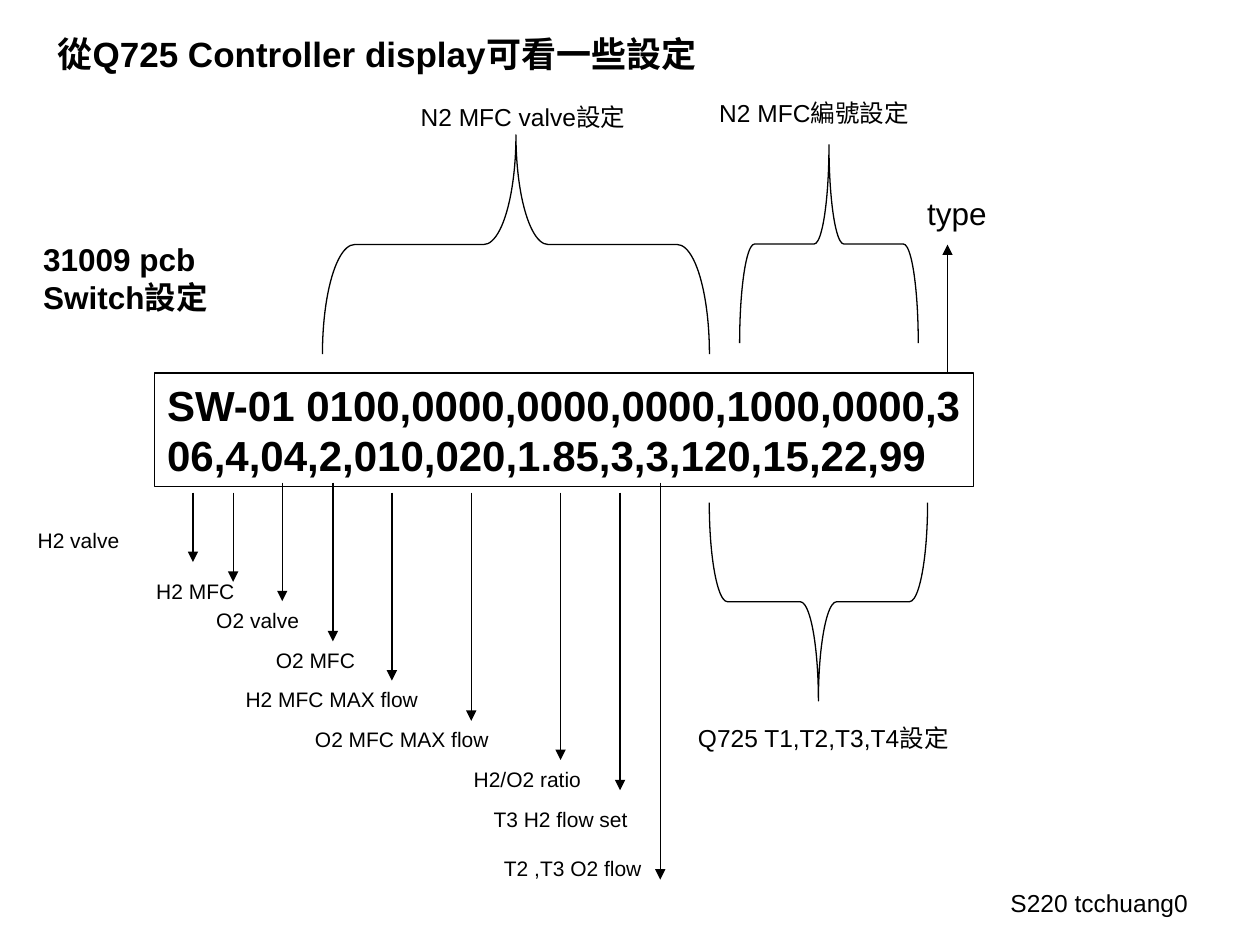
from dataclasses import dataclass

from lxml import etree
from pptx import Presentation
from pptx.dml.color import RGBColor
from pptx.enum.shapes import MSO_CONNECTOR, MSO_SHAPE
from pptx.enum.text import MSO_ANCHOR, MSO_AUTO_SIZE, PP_ALIGN
from pptx.oxml.ns import qn
from pptx.util import Cm, Pt

STRAIGHT = MSO_CONNECTOR.STRAIGHT
RECTANGLE = MSO_SHAPE.RECTANGLE
LEFT_BRACE = MSO_SHAPE.LEFT_BRACE
LEFT = PP_ALIGN.LEFT
TOP = MSO_ANCHOR.TOP
FIT_SHAPE = MSO_AUTO_SIZE.SHAPE_TO_FIT_TEXT


@dataclass(frozen=True)
class Theme:
    ink: RGBColor = RGBColor(0, 0, 0)
    font: str = "Arial"
    line_width: float = 0.75
    code_size: int = 24
    title_size: int = 20
    heading_size: int = 18
    caption_size: int = 14
    label_size: int = 12


THEME = Theme()

POINT_UP, POINT_DOWN = 90, 270
BELOW_BOX, INSIDE_BOX = 9.93, 9.73

BRACES = [
    (6.5, 2.72, 7.8, 4.42, POINT_UP),
    (14.91, 2.92, 3.6, 4, POINT_UP),
    (14.3, 10.13, 4.4, 4, POINT_DOWN),
]

CAPTIONS = [
    ("N2 MFC valve設定", 8.23, 1.93, 4.75),
    ("N2 MFC編號設定", 14.25, 1.85, 4.45),
    ("Q725 T1,T2,T3,T4設定", 13.82, 14.45, 5.72),
    ("S220 tcchuang0", 20.12, 17.78, 4.09),
]

FIELDS = [
    ("H2 valve", 0.51, 10.52, 2.16, 3.89, BELOW_BOX, 11.33),
    ("H2 MFC", 2.9, 11.53, 2.08, 4.7, BELOW_BOX, 11.73),
    ("O2 valve", 4.11, 12.12, 2.18, 5.69, INSIDE_BOX, 12.12),
    ("O2 MFC", 5.31, 12.93, 2.11, 6.71, INSIDE_BOX, 12.93),
    ("H2 MFC MAX flow", 4.7, 13.72, 3.99, 7.9, BELOW_BOX, 13.72),
    ("O2 MFC MAX flow", 6.1, 14.53, 4.01, 9.5, BELOW_BOX, 14.53),
    ("H2/O2 ratio", 9.3, 15.32, 2.67, 11.3, BELOW_BOX, 15.32),
    ("T3 H2 flow set", 9.7, 16.13, 3.25, 12.5, BELOW_BOX, 15.93),
    ("T2 ,T3 O2 flow", 9.91, 17.12, 3.3, 13.31, INSIDE_BOX, 17.73),
]


def style_line(shape):
    shape.line.color.rgb = THEME.ink
    shape.line.width = Pt(THEME.line_width)


def write_text(shape, lines, size, bold=False):
    frame = shape.text_frame
    frame.word_wrap = False
    frame.auto_size = FIT_SHAPE
    frame.vertical_anchor = TOP
    frame.text = "\n".join(lines)
    for paragraph in frame.paragraphs:
        paragraph.alignment = LEFT
        paragraph.font.name = THEME.font
        paragraph.font.size = Pt(size)
        paragraph.font.bold = bold
        paragraph.font.color.rgb = THEME.ink


def add_text(slide, lines, left, top, width, height, size, bold=False):
    box = slide.shapes.add_textbox(Cm(left), Cm(top), Cm(width), Cm(height))
    write_text(box, lines, size, bold)


def add_display(slide, lines, left, top, width, height):
    shape = slide.shapes.add_shape(RECTANGLE, Cm(left), Cm(top), Cm(width), Cm(height))
    shape.shadow.inherit = False
    shape.fill.background()
    style_line(shape)
    write_text(shape, lines, THEME.code_size, bold=True)


def add_brace(slide, left, top, length, depth, rotation):
    offset = (length - depth) / 2
    shape = slide.shapes.add_shape(
        LEFT_BRACE, Cm(left + offset), Cm(top - offset), Cm(depth), Cm(length)
    )
    shape.rotation = rotation
    shape.adjustments[0] = length / 12 / min(length, depth)
    shape.shadow.inherit = False
    shape.fill.background()
    style_line(shape)


def add_arrow(slide, x, start, end):
    arrow = slide.shapes.add_connector(STRAIGHT, Cm(x), Cm(start), Cm(x), Cm(end))
    style_line(arrow)
    line = arrow._element.spPr.find(qn("a:ln"))
    etree.SubElement(line, qn("a:tailEnd"), type="triangle")
    etree.SubElement(arrow._element.spPr, qn("a:effectLst"))


def main():
    presentation = Presentation()
    presentation.slide_width = Cm(25.4)
    presentation.slide_height = Cm(19.05)
    slide = presentation.slides.add_slide(presentation.slide_layouts[6])

    add_display(
        slide,
        ["SW-01 0100,0000,0000,0000,1000,0000,3",
         "06,4,04,2,010,020,1.85,3,3,120,15,22,99"],
        3.12, 7.52, 16.51, 2.29,
    )
    for brace in BRACES:
        add_brace(slide, *brace)
    for caption, left, top, width in CAPTIONS:
        add_text(slide, [caption], left, top, width, 0.86, THEME.caption_size)
    for label, left, top, width, arrow_x, start, end in FIELDS:
        add_arrow(slide, arrow_x, start, end)
        add_text(slide, [label], left, top, width, 0.77, THEME.label_size)

    add_arrow(slide, 19.1, 7.52, 4.93)
    add_text(slide, ["type"], 18.44, 3.78, 1.7, 1.02, THEME.heading_size)
    add_text(slide, ["從Q725 Controller display可看一些設定"],
             0.91, 0.53, 13.77, 1.12, THEME.title_size, bold=True)
    add_text(slide, ["31009 pcb", "Switch設定"],
             0.62, 4.72, 4.05, 1.78, THEME.heading_size, bold=True)

    presentation.save("out.pptx")


if __name__ == "__main__":
    main()
